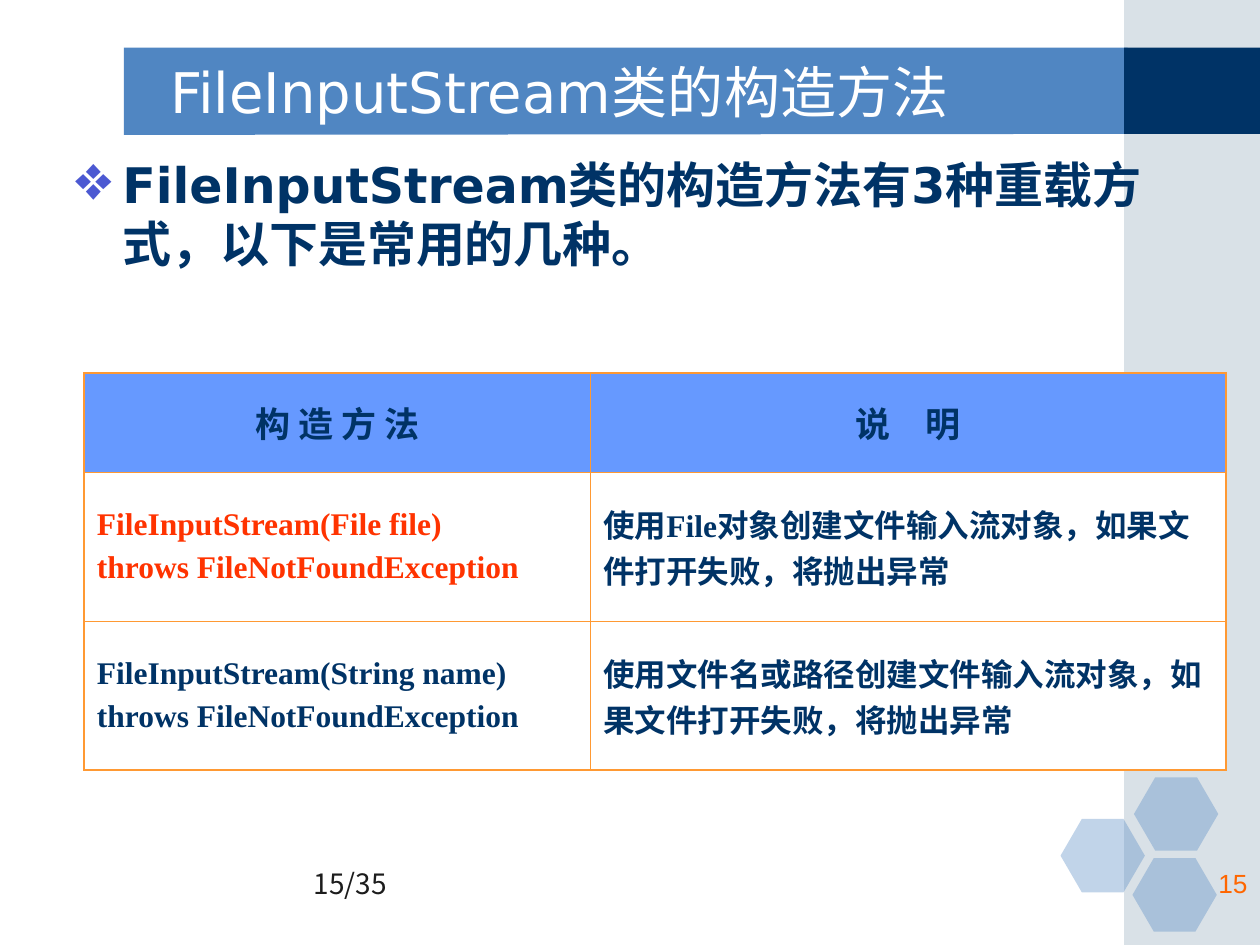
from dataclasses import dataclass

from lxml.etree import SubElement
from pptx import Presentation
from pptx.dml.color import RGBColor
from pptx.enum.shapes import MSO_SHAPE
from pptx.enum.text import MSO_ANCHOR, PP_ALIGN
from pptx.oxml.ns import qn
from pptx.util import Cm, Pt


@dataclass(frozen=True)
class Theme:
    blue: str = "5086C2"
    navy: str = "003366"
    side_band: str = "A0B5C4"
    bullet: str = "4C59D2"
    table_header: str = "6699FF"
    table_border: str = "FF9933"
    highlight: str = "FF3300"
    page_number: str = "FF6600"
    dark: str = "1C1C1C"
    white: str = "FFFFFF"
    title_size: float = 32
    body_size: float = 28
    header_size: float = 20
    cell_size: float = 18
    counter_size: float = 16
    page_number_size: float = 15
    outer_border: float = 1.08
    inner_border: float = 0.45
    heading_font: str = "DejaVu Sans"
    chinese_font: str = "Noto Sans CJK SC"


def paint(shape, color, opacity=100):
    """Give a shape a plain fill with no outline or shadow."""
    shape.shadow.inherit = False
    shape.line.fill.background()
    shape.fill.solid()
    shape.fill.fore_color.rgb = RGBColor.from_string(color)
    if opacity < 100:
        color_element = shape.fill._xPr.find(qn("a:solidFill"))[0]
        SubElement(color_element, qn("a:alpha"), val=str(opacity * 1000))


def write(text_frame, text, size, font_name, color, bold=False, alignment=PP_ALIGN.LEFT):
    """Set the text, one paragraph a line, and format every run."""
    text_frame.word_wrap = True
    text_frame.text = text
    for index, paragraph in enumerate(text_frame.paragraphs):
        paragraph.alignment = alignment
        if index:
            paragraph.space_before = Pt(4.5)
        for run in paragraph.runs:
            run.font.size = Pt(size)
            run.font.bold = bold
            run.font.name = font_name
            run.font.color.rgb = RGBColor.from_string(color)
            SubElement(run._r.get_or_add_rPr(), qn("a:ea"), typeface=theme.chinese_font)


theme = Theme()
presentation = Presentation()
presentation.slide_width = Cm(25.4)
presentation.slide_height = Cm(19.05)
slide = presentation.slides.add_slide(presentation.slide_layouts[6])
shapes = slide.shapes

# Title banner and side band
banner_builder = shapes.build_freeform(Cm(2.5), Cm(0.96))
banner_builder.add_line_segments(
    [(Cm(22.73), Cm(0.96)), (Cm(22.73), Cm(2.7)), (Cm(2.5), Cm(2.72))], close=True
)
paint(banner_builder.convert_to_shape(), theme.blue)

side_band = shapes.add_shape(MSO_SHAPE.RECTANGLE, Cm(22.66), 0, Cm(2.74), Cm(19.05))
paint(side_band, theme.side_band, opacity=40)
banner_end = shapes.add_shape(MSO_SHAPE.RECTANGLE, Cm(22.66), Cm(0.96), Cm(2.74), Cm(1.74))
paint(banner_end, theme.navy)

# Hexagon cluster
for left, top in [(21.38, 16.51), (22.86, 15.67), (22.83, 17.3)]:
    hexagon = shapes.add_shape(MSO_SHAPE.HEXAGON, Cm(left), Cm(top), Cm(1.7), Cm(1.48))
    hexagon.adjustments[0] = 0.29
    paint(hexagon, theme.blue, opacity=35)

# Title
title = shapes.add_textbox(Cm(3.18), Cm(1.05), Cm(18.62), Cm(1.57))
title.text_frame.vertical_anchor = MSO_ANCHOR.MIDDLE
write(title.text_frame, "FileInputStream类的构造方法",
      theme.title_size, theme.heading_font, theme.white)

# Bulleted statement
body = shapes.add_textbox(Cm(1.27), Cm(3), Cm(22.86), Cm(14.58))
write(body.text_frame, "FileInputStream类的构造方法有3种重载方式，以下是常用的几种。",
      theme.body_size, theme.heading_font, theme.navy, bold=True)
statement = body.text_frame.paragraphs[0]
properties = statement._p.get_or_add_pPr()
properties.set("marL", str(Cm(0.95)))
properties.set("indent", str(-Cm(0.95)))
bullet_color = SubElement(properties, qn("a:buClr"))
SubElement(bullet_color, qn("a:srgbClr"), val=theme.bullet)
SubElement(properties, qn("a:buSzPct"), val="130000")
SubElement(properties, qn("a:buChar"), char="❖")

# Page counters
counter = shapes.add_textbox(0, Cm(17.35), Cm(8.05), Cm(1.27))
write(counter.text_frame, "15/35", theme.counter_size, theme.chinese_font,
      theme.dark, alignment=PP_ALIGN.RIGHT)
page_number = shapes.add_textbox(Cm(20.12), Cm(17.35), Cm(5.28), Cm(1.27))
write(page_number.text_frame, "15", theme.page_number_size, "Arial",
      theme.page_number, alignment=PP_ALIGN.RIGHT)

# Constructor table
rows = [
    ("构 造 方 法", "说　明"),
    ("FileInputStream(File file)\nthrows FileNotFoundException",
     "使用File对象创建文件输入流对象，如果文件打开失败，将抛出异常"),
    ("FileInputStream(String name)\nthrows FileNotFoundException",
     "使用文件名或路径创建文件输入流对象，如果文件打开失败，将抛出异常"),
]
table = shapes.add_table(3, 2, Cm(1.7), Cm(7.52), Cm(23.01), Cm(8)).table
table.first_row = False
table.horz_banding = False
for column, width in zip(table.columns, (10.21, 12.8)):
    column.width = Cm(width)
for row, height in zip(table.rows, (2, 3, 3)):
    row.height = Cm(height)

for row_index, row_texts in enumerate(rows):
    for column_index, text in enumerate(row_texts):
        cell = table.cell(row_index, column_index)
        cell.vertical_anchor = MSO_ANCHOR.MIDDLE
        outer_edges = {
            "lnL": column_index == 0,
            "lnR": column_index == 1,
            "lnT": row_index == 0,
            "lnB": row_index == 2,
        }
        for edge, is_outer in outer_edges.items():
            border_width = Pt(theme.outer_border if is_outer else theme.inner_border)
            border = SubElement(cell._tc.get_or_add_tcPr(), qn(f"a:{edge}"), w=str(border_width))
            border_fill = SubElement(border, qn("a:solidFill"))
            SubElement(border_fill, qn("a:srgbClr"), val=theme.table_border)
        is_header = row_index == 0
        cell.fill.solid()
        cell.fill.fore_color.rgb = RGBColor.from_string(
            theme.table_header if is_header else theme.white
        )
        if is_header:
            write(cell.text_frame, text, theme.header_size, "Courier New", theme.navy,
                  bold=True, alignment=PP_ALIGN.CENTER)
        else:
            is_highlighted = (row_index, column_index) == (1, 0)
            write(cell.text_frame, text, theme.cell_size, "Times New Roman",
                  theme.highlight if is_highlighted else theme.navy, bold=True)

presentation.save("out.pptx")
